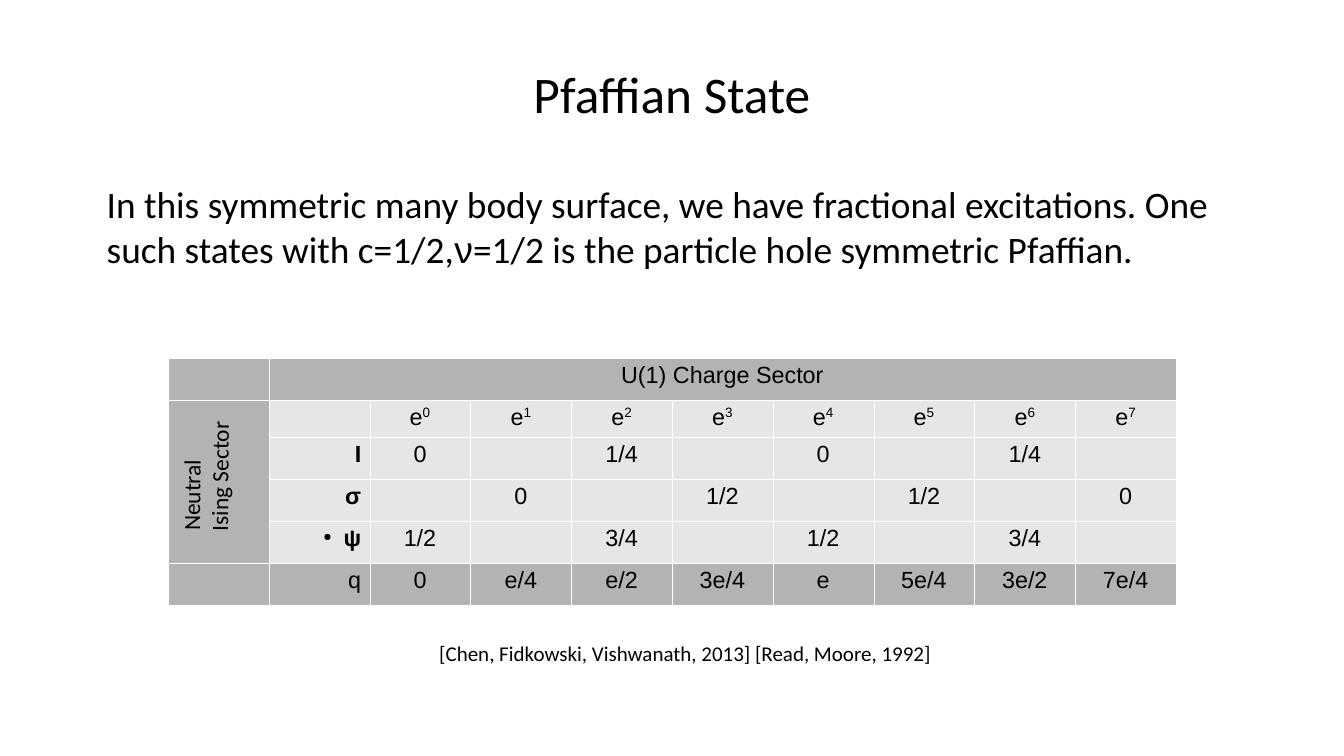
import lxml.etree
import pptx
import pptx.dml.color
import pptx.enum.text
import pptx.oxml.ns
import pptx.util

WIDTH, HEIGHT = 16, 9
BLACK, WHITE, DARK, LIGHT = "000000", "FFFFFF", "B3B3B3", "E6E6E6"
ALIGN = pptx.enum.text.PP_ALIGN
ANCHOR = pptx.enum.text.MSO_ANCHOR
AUTO = pptx.enum.text.MSO_AUTO_SIZE

SECTOR_ROWS = [
    ["", "U(1) Charge Sector"] + [""] * 8,
    ["", ""] + [f"e^{n}" for n in range(8)],
    ["", "I", "0", "", "1/4", "", "0", "", "1/4", ""],
    ["", "σ", "", "0", "", "1/2", "", "1/2", "", "0"],
    ["", "ψ", "1/2", "", "3/4", "", "1/2", "", "3/4", ""],
    ["", "q", "0", "e/4", "e/2", "3e/4", "e", "5e/4", "3e/2", "7e/4"],
]
ROW_HEIGHTS = [0.5, 0.44, 0.5, 0.5, 0.5, 0.5]


def rgb(value):
    return pptx.dml.color.RGBColor.from_string(value)


def inches(box):
    return [pptx.util.Inches(v) for v in box]


def add_xml(parent, tag, **attributes):
    child = lxml.etree.SubElement(parent, pptx.oxml.ns.qn(tag))
    for name, value in attributes.items():
        child.set(name, str(value))
    return child


def add_run(p, text, size, name="Calibri", bold=False):
    r = p.add_run()
    r.text = text
    r.font.size = pptx.util.Pt(size)
    r.font.name = name
    r.font.bold = bold
    r.font.color.rgb = rgb(BLACK)
    return r


def place(sp, box):
    sp.left, sp.top, sp.width, sp.height = inches(box)


def add_title(s, box):
    sp = s.shapes.title
    place(sp, box)
    tf = sp.text_frame
    tf.auto_size = AUTO.NONE
    tf.vertical_anchor = ANCHOR.MIDDLE
    p = tf.paragraphs[0]
    p.alignment = ALIGN.CENTER
    add_run(p, "Pfaffian State", 44)


def add_body(s, box):
    sp = s.placeholders[1]
    place(sp, box)
    tf = sp.text_frame
    tf.auto_size = AUTO.NONE
    p = tf.paragraphs[0]
    pPr = p._p.get_or_add_pPr()
    pPr.set("marL", str(pptx.util.Inches(0.37)))
    pPr.set("indent", "0")
    add_xml(pPr, "a:buNone")
    p.space_before = pptx.util.Pt(0)
    add_run(p, "In this symmetric many body surface, we have fractional "
               "excitations. One such states with c=1/2,", 32)
    add_run(p, "ν", 32, "Arial")
    add_run(p, "=1/2 is the particle hole symmetric Pfaffian.", 32)


def add_bullet(p):
    pPr = p._p.get_or_add_pPr()
    indent = pptx.util.Inches(0.24)
    pPr.set("marL", str(indent))
    pPr.set("indent", str(-indent))
    add_xml(add_xml(pPr, "a:buClr"), "a:srgbClr", val=BLACK)
    add_xml(pPr, "a:buSzPct", val=45000)
    add_xml(pPr, "a:buChar", char="●")


def format_cell(cell, fill):
    tcPr = cell._tc.get_or_add_tcPr()
    for side in ("a:lnL", "a:lnR", "a:lnT", "a:lnB"):
        line = add_xml(tcPr, side, w=pptx.util.Pt(0.06))
        add_xml(add_xml(line, "a:solidFill"), "a:srgbClr", val=WHITE)
    cell.fill.solid()
    cell.fill.fore_color.rgb = rgb(fill)


def fill_cell(cell, text, label):
    p = cell.text_frame.paragraphs[0]
    p.alignment = ALIGN.RIGHT if label else ALIGN.CENTER
    if text == "ψ":
        add_bullet(p)
    base, _, power = text.partition("^")
    add_run(p, base, 20, "Arial", label and text != "q")
    if power:
        r = add_run(p, power, 20, "Arial")
        r._r.get_or_add_rPr().set("baseline", "33000")


def add_sector_table(s, box):
    rows, cols = len(SECTOR_ROWS), len(SECTOR_ROWS[0])
    table = s.shapes.add_table(rows, cols, *inches(box)).table
    table.first_row = table.horz_banding = False
    for column in table.columns:
        column.width = pptx.util.Inches(box[2] / cols)
    for i, texts in enumerate(SECTOR_ROWS):
        table.rows[i].height = pptx.util.Inches(ROW_HEIGHTS[i])
        for j, text in enumerate(texts):
            cell = table.cell(i, j)
            format_cell(cell, DARK if i in (0, rows - 1) or j == 0 else LIGHT)
            if text:
                fill_cell(cell, text, j == 1 and i > 0)
    table.cell(0, 1).merge(table.cell(0, cols - 1))
    table.cell(1, 0).merge(table.cell(rows - 2, 0))


def add_text(s, box, text, size, wrap=True, rotation=0):
    sp = s.shapes.add_textbox(*inches(box))
    sp.rotation = rotation
    tf = sp.text_frame
    tf.word_wrap = wrap
    tf.auto_size = AUTO.SHAPE_TO_FIT_TEXT
    add_run(tf.paragraphs[0], text, size)


def add_sectors(s, box):
    left, top, width, height = box
    add_sector_table(s, box)
    add_text(s, (left - 0.19, top + 0.88, 1.53, 1.03),
             "Neutral Ising Sector", 20, rotation=270.4)


def main():
    prs = pptx.Presentation()
    prs.slide_width, prs.slide_height = inches((WIDTH, HEIGHT))
    s = prs.slides.add_slide(prs.slide_layouts[1])
    margin = WIDTH * 0.05
    content = WIDTH - 2 * margin
    add_title(s, (margin, HEIGHT * 0.04, content, 1.5))
    add_body(s, (margin, 2.11, content, 6.47))
    add_sectors(s, (WIDTH / 8, 4.26, WIDTH * 0.75, sum(ROW_HEIGHTS)))
    add_text(s, (5.13, 7.58, 6.62, 0.4),
             "[Chen, Fidkowski, Vishwanath, 2013] [Read, Moore, 1992]",
             18, wrap=False)
    prs.save("out.pptx")


if __name__ == "__main__":
    main()
